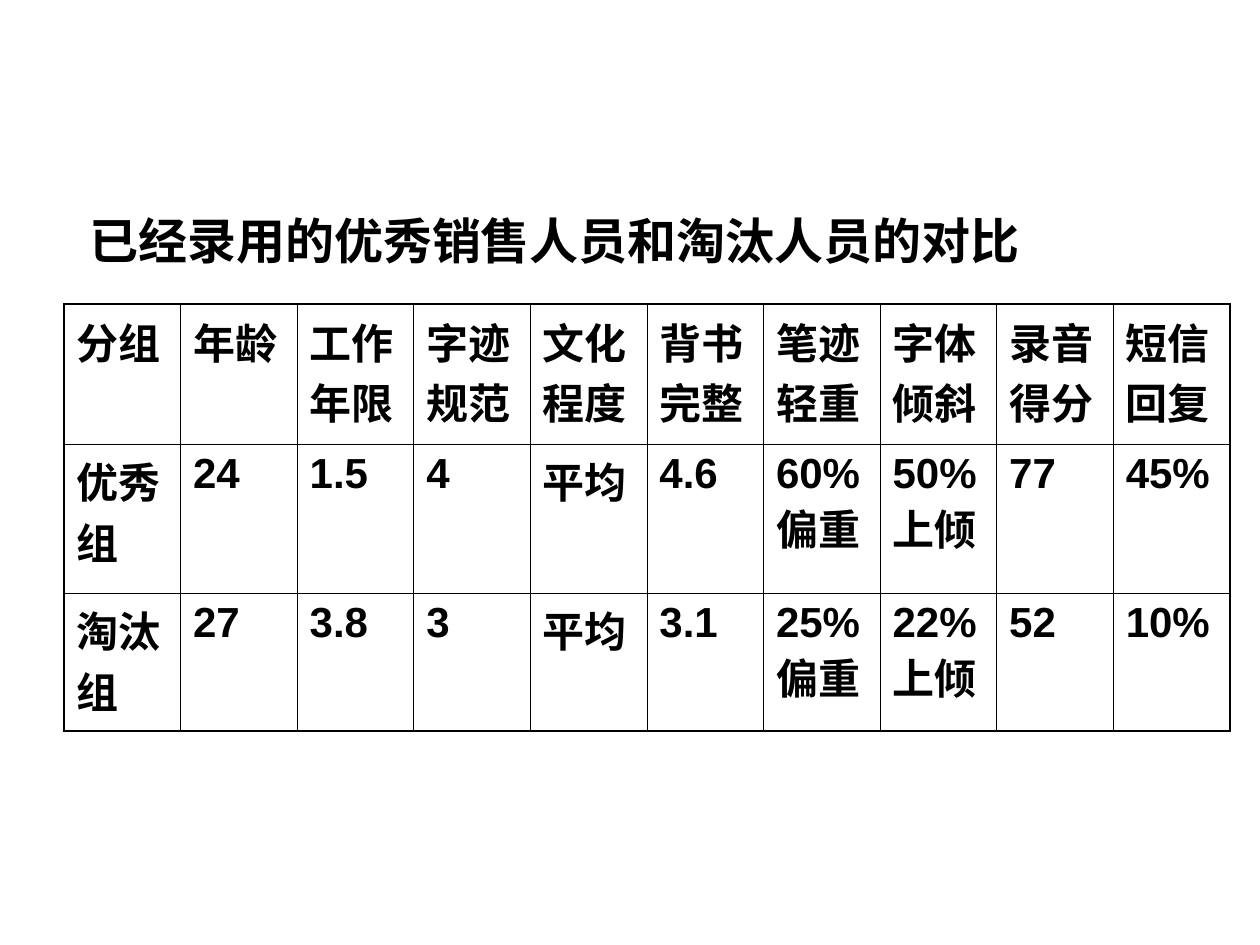
from dataclasses import dataclass

from lxml.etree import SubElement as Sub
from pptx import Presentation
from pptx.dml.color import RGBColor as Rgb
from pptx.enum.text import MSO_ANCHOR as Anchor, MSO_AUTO_SIZE as Fit, PP_ALIGN as Align
from pptx.oxml.ns import qn
from pptx.util import Emu, Pt


@dataclass(frozen=True)
class Theme:
    ink: str = "000000"
    head_font: str = "Times New Roman"
    cell_font: str = "Arial"
    head_size: int = 28
    cell_size: int = 24
    thick: float = 1.08
    thin: float = 0.45


THEME = Theme()
SCALE = 914400 / 126

HEADS = ["分组", "年龄", "工作年限", "字迹规范", "文化程度",
         "背书完整", "笔迹轻重", "字体倾斜", "录音得分", "短信回复"]
GROUPS = [
    ["优秀组", "24", "1.5", "4", "平均", "4.6", "60%偏重", "50%上倾", "77", "45%"],
    ["淘汰组", "27", "3.8", "3", "平均", "3.1", "25%偏重", "22%上倾", "52", "10%"],
]
HEIGHTS = [140, 149, 138]


def px(n):
    return Emu(round(n * SCALE))


def style(para, name, size):
    para.alignment = Align.LEFT
    for run in para.runs:
        font = run.font
        font.name, font.size, font.bold = name, Pt(size), True
        font.color.rgb = Rgb.from_string(THEME.ink)


def add_title(slide, text, left, top, width, height):
    title = slide.shapes.title
    title.left, title.top = px(left), px(top)
    title.width, title.height = px(width), px(height)
    frame = title.text_frame
    frame.text = text
    frame.word_wrap = False
    frame.auto_size = Fit.SHAPE_TO_FIT_TEXT
    frame.vertical_anchor = Anchor.TOP
    style(frame.paragraphs[0], THEME.head_font, THEME.head_size)


def add_edge(cell, side, outer):
    width = THEME.thick if outer else THEME.thin
    props = cell._tc.get_or_add_tcPr()
    line = Sub(props, qn(f"a:ln{side}"), w=str(Pt(width)))
    fill = Sub(line, qn("a:solidFill"))
    Sub(fill, qn("a:srgbClr"), val=THEME.ink)


def fill_cell(cell, text, outer):
    for side, edge in outer.items():
        add_edge(cell, side, edge)
    cell.fill.background()
    cell.vertical_anchor = Anchor.TOP
    cell.text_frame.text = text
    style(cell.text_frame.paragraphs[0], THEME.cell_font, THEME.cell_size)


def add_grid(slide, rows, left, top, width, heights):
    last_row, last_col = len(rows) - 1, len(rows[0]) - 1
    table = slide.shapes.add_table(
        len(rows), len(rows[0]), px(left), px(top), px(width), px(sum(heights))
    ).table
    table.first_row = table.horz_banding = False
    for r, row in enumerate(rows):
        table.rows[r].height = px(heights[r])
        for c, text in enumerate(row):
            outer = {"L": c == 0, "R": c == last_col, "T": r == 0, "B": r == last_row}
            fill_cell(table.cell(r, c), text, outer)


def main():
    deck = Presentation()
    deck.slide_width, deck.slide_height = px(1260), px(945)
    slide = deck.slides.add_slide(deck.slide_layouts[5])
    add_grid(slide, [HEADS, *GROUPS], 64, 304, 1166, HEIGHTS)
    add_title(slide, "已经录用的优秀销售人员和淘汰人员的对比", 77, 204, 955, 72)
    deck.save("out.pptx")


if __name__ == "__main__":
    main()
